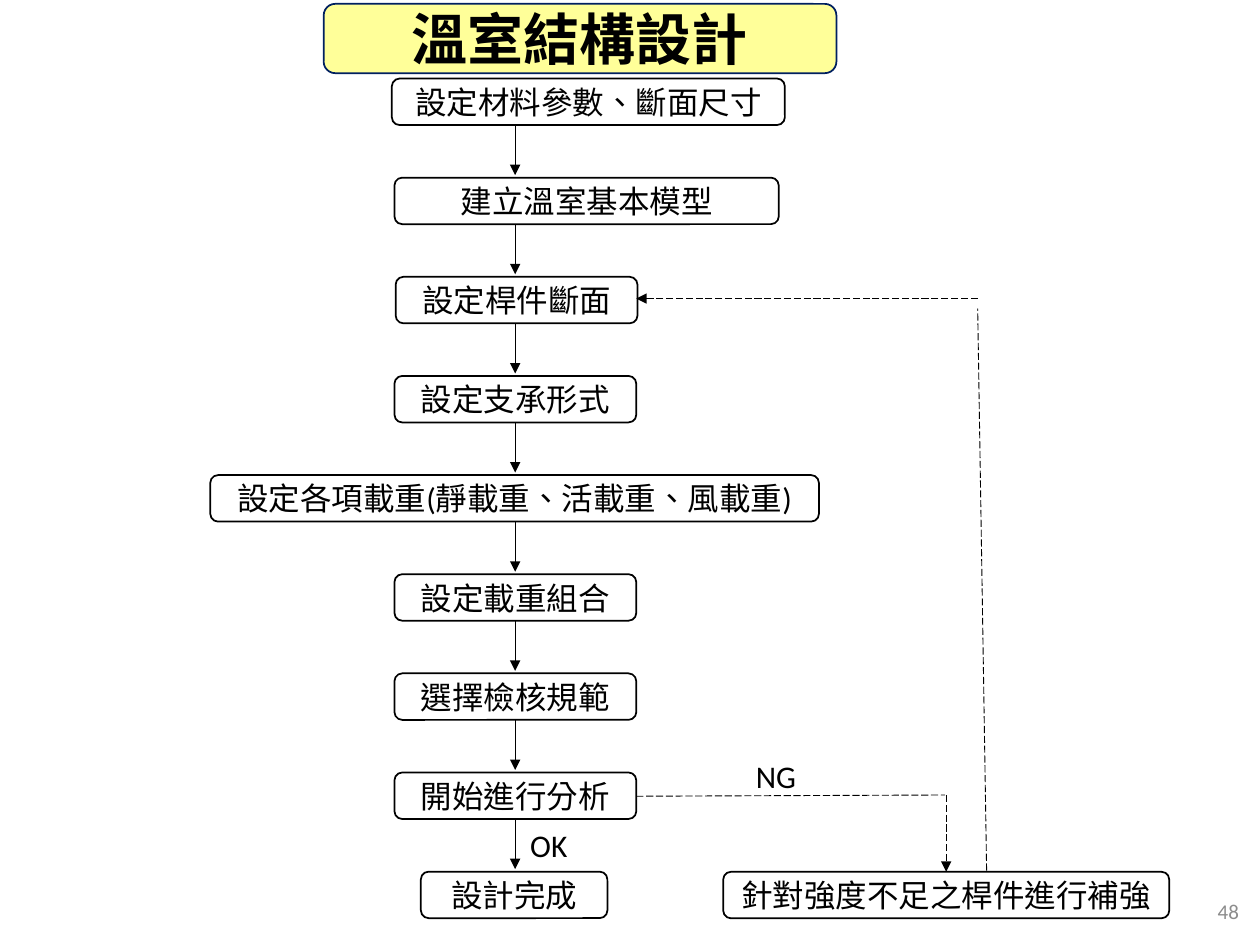
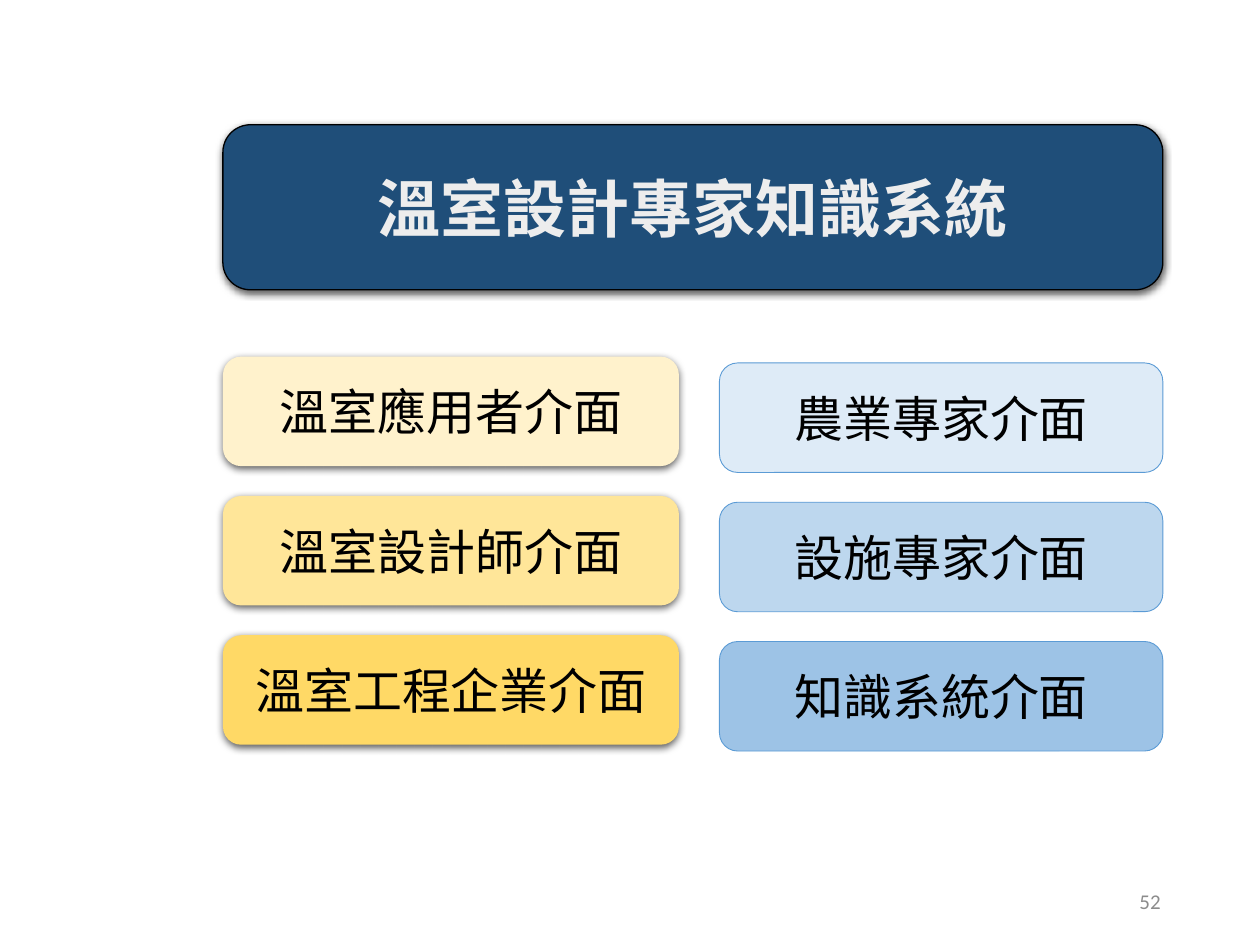
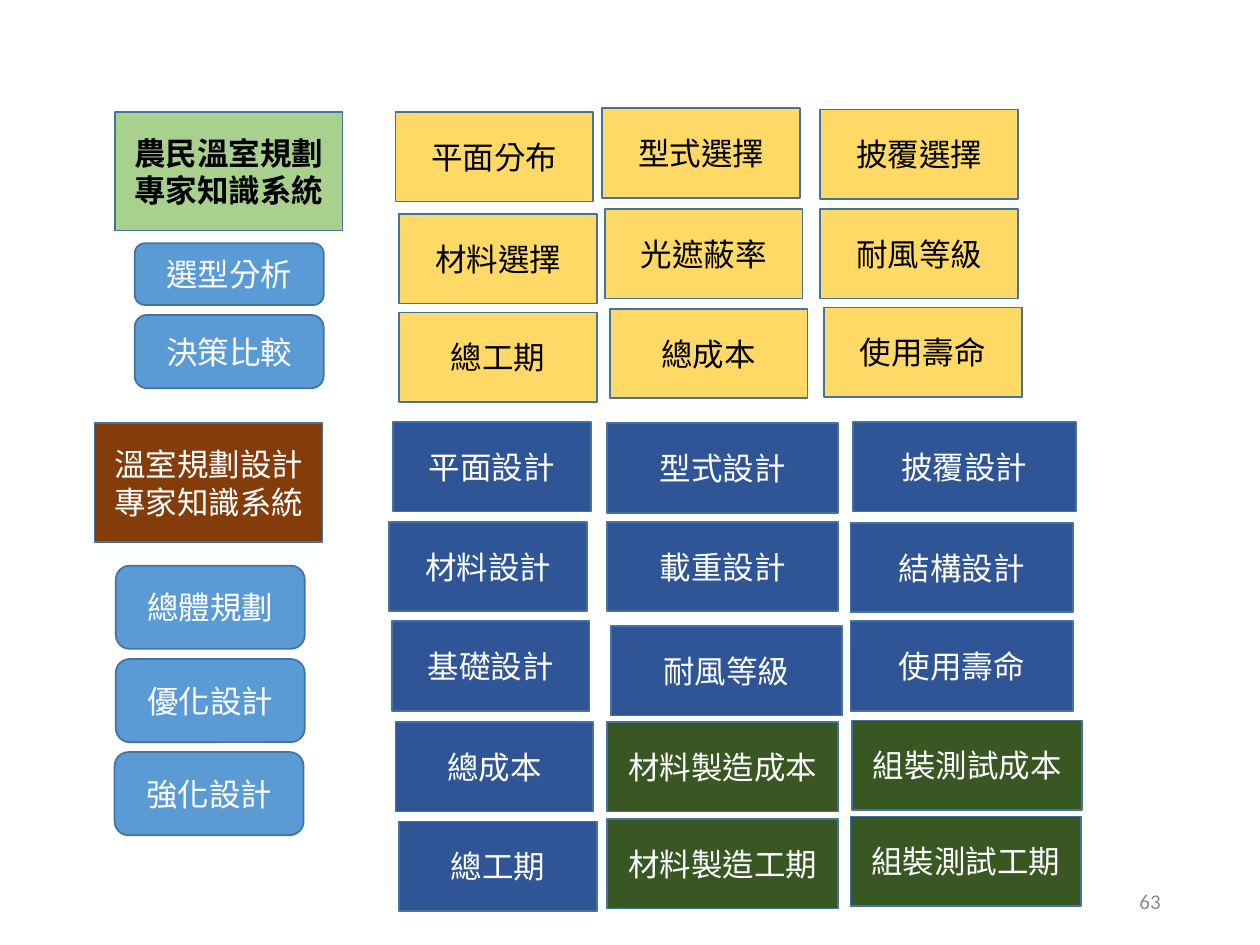
from dataclasses import dataclass, replace
from typing import NamedTuple, Optional

from lxml.etree import SubElement
from pptx import Presentation
from pptx.dml.color import RGBColor
from pptx.enum.dml import MSO_LINE
from pptx.enum.lang import MSO_LANGUAGE_ID
from pptx.enum.shapes import MSO_CONNECTOR, MSO_SHAPE
from pptx.enum.text import MSO_ANCHOR, MSO_AUTO_SIZE, PP_ALIGN
from pptx.oxml.ns import qn
from pptx.shapes.autoshape import Shape
from pptx.slide import Slide
from pptx.text.text import TextFrame
from pptx.util import Pt

COLORS = {
    "black": "000000",
    "white": "FFFFFF",
    "page number": "8C8C8C",
    "title yellow": "FFFF99",
    "title border": "002060",
    "navy": "1F4E79",
    "silver": "EDEDED",
    "text outline": "8497B0",
    "pale gold": "FFF2CC",
    "light gold": "FFE699",
    "gold": "FFD966",
    "pale blue": "DEEBF7",
    "light blue": "BDD7EE",
    "soft blue": "9DC3E6",
    "blue": "5B9BD5",
    "steel": "43739E",
    "royal blue": "2F5597",
    "light green": "A9D18E",
    "dark green": "385723",
    "brown": "843C0B",
}
BODY_FONT = "Calibri"
TITLE_FONT = "Noto Sans CJK SC"


@dataclass(frozen=True)
class BoxStyle:
    fill: Optional[str] = None
    line: Optional[str] = "black"
    line_width: float = 1
    text_color: str = "black"
    size: float = 18
    font: str = BODY_FONT
    bold: bool = False
    rounded: bool = True
    shadow: bool = False
    outlined_text: bool = False


class Box(NamedTuple):
    text: str
    left: float
    top: float
    width: float
    height: float


class Arrow(NamedTuple):
    start: tuple[float, float]
    end: tuple[float, float]
    dashed: bool = False
    head: bool = True


class TileGroup(NamedTuple):
    """Equal tiles of one style, each given as text, left, top."""
    style: BoxStyle
    width: float
    height: float
    tiles: list[tuple[str, float, float]]


def rgb(name: str) -> RGBColor:
    return RGBColor.from_string(COLORS[name])


def format_text(text_frame: TextFrame, style: BoxStyle, alignment: PP_ALIGN) -> None:
    for paragraph in text_frame.paragraphs:
        paragraph.alignment = alignment
        for run in paragraph.runs:
            run.font.name = style.font
            run.font.size = Pt(style.size)
            run.font.bold = style.bold
            run.font.color.rgb = rgb(style.text_color)
            run.font.language_id = MSO_LANGUAGE_ID.TRADITIONAL_CHINESE


def add_text_outline(shape: Shape) -> None:
    for paragraph in shape.text_frame.paragraphs:
        for run in paragraph.runs:
            properties = run.font._element
            outline = SubElement(properties, qn("a:ln"), w=str(Pt(1.75)))
            fill = SubElement(outline, qn("a:solidFill"))
            SubElement(fill, qn("a:srgbClr"), val=COLORS["text outline"])
            properties.insert(0, outline)


def add_soft_shadow(shape: Shape) -> None:
    effects = shape._element.spPr.find(qn("a:effectLst"))
    shadow = SubElement(effects, qn("a:outerShdw"), blurRad=str(Pt(4.5)),
                        dist=str(Pt(1.5)), dir="5400000", algn="ctr", rotWithShape="0")
    color = SubElement(shadow, qn("a:srgbClr"), val=COLORS["black"])
    SubElement(color, qn("a:alpha"), val="63000")


def add_box(slide: Slide, box: Box, style: BoxStyle) -> None:
    preset = MSO_SHAPE.ROUNDED_RECTANGLE if style.rounded else MSO_SHAPE.RECTANGLE
    shape = slide.shapes.add_shape(preset, *(Pt(length) for length in box[1:]))
    shape.shadow.inherit = False
    if style.fill:
        shape.fill.solid()
        shape.fill.fore_color.rgb = rgb(style.fill)
    else:
        shape.fill.background()
    if style.line:
        shape.line.color.rgb = rgb(style.line)
        shape.line.width = Pt(style.line_width)
    else:
        shape.line.fill.background()
    shape.text_frame.text = box.text
    shape.text_frame.word_wrap = True
    shape.text_frame.vertical_anchor = MSO_ANCHOR.MIDDLE
    format_text(shape.text_frame, style, PP_ALIGN.CENTER)
    if style.shadow:
        add_soft_shadow(shape)
    if style.outlined_text:
        add_text_outline(shape)


def add_arrow(slide: Slide, arrow: Arrow) -> None:
    connector = slide.shapes.add_connector(
        MSO_CONNECTOR.STRAIGHT, *(Pt(value) for value in arrow.start + arrow.end))
    connector.line.color.rgb = rgb("black")
    connector.line.width = Pt(0.5)
    if arrow.dashed:
        connector.line.dash_style = MSO_LINE.LONG_DASH
    if arrow.head:
        SubElement(connector.line._get_or_add_ln(), qn("a:tailEnd"), type="triangle")
    SubElement(connector._element.spPr, qn("a:effectLst"))


def add_branch_label(slide: Slide, box: Box) -> None:
    label = slide.shapes.add_textbox(*(Pt(length) for length in box[1:]))
    label.text_frame.text = box.text
    label.text_frame.word_wrap = False
    label.text_frame.auto_size = MSO_AUTO_SIZE.SHAPE_TO_FIT_TEXT
    format_text(label.text_frame, BoxStyle(), PP_ALIGN.LEFT)


def add_page_number(slide: Slide, number: int, left: float = 508.3, top: float = 500.4) -> None:
    text_box = slide.shapes.add_textbox(Pt(left), Pt(top), Pt(162), Pt(28.8))
    text_box.text_frame.text = str(number)
    text_box.text_frame.word_wrap = True
    text_box.text_frame.vertical_anchor = MSO_ANCHOR.MIDDLE
    format_text(text_box.text_frame, BoxStyle(text_color="page number", size=12), PP_ALIGN.RIGHT)


STEP_TOP, STEP_PITCH, STEP_HEIGHT = 44.9, 56.65, 26.6
FLOW_X, FLOW_LENGTH = 294.4, 28.6
STEPS = [
    ("設定材料參數、斷面尺寸", 223.9, 224.6),
    ("建立溫室基本模型", 225.4, 219.6),
    ("設定桿件斷面", 226.1, 138.2),
    ("設定支承形式", 225.4, 138.2),
    ("設定各項載重(靜載重、活載重、風載重)", 120.2, 347.8),
    ("設定載重組合", 225.4, 138.2),
    ("選擇檢核規範", 225.4, 138.2),
    ("開始進行分析", 225.4, 138.2),
    ("設計完成", 240.5, 106.6),
]
FEEDBACK_ARROWS = [
    Arrow((363.6, 455), (540, 454.3), dashed=True, head=False),
    Arrow((540.7, 454.3), (540.7, 498.2), dashed=True),
    Arrow((563.8, 497.5), (558.7, 176.4), dashed=True, head=False),
    Arrow((558.7, 170.6), (363.6, 170.6), dashed=True),
]


def build_structure_flow(slide: Slide) -> None:
    add_page_number(slide, 48, left=553, top=506.2)
    for index, (text, left, width) in enumerate(STEPS):
        top = STEP_TOP + index * STEP_PITCH
        add_box(slide, Box(text, left, top, width, STEP_HEIGHT), BoxStyle())
        if index < len(STEPS) - 1:
            bottom = top + STEP_HEIGHT
            add_arrow(slide, Arrow((FLOW_X, bottom), (FLOW_X, bottom + FLOW_LENGTH)))
    add_box(slide, Box("針對強度不足之桿件進行補強", 413.3, 498.2, 254.9, STEP_HEIGHT), BoxStyle())
    for arrow in FEEDBACK_ARROWS:
        add_arrow(slide, arrow)
    add_branch_label(slide, Box("NG", 424.8, 429.1, 37.4, 28.8))
    add_branch_label(slide, Box("OK", 295.9, 468.7, 36, 28.8))
    add_box(slide, Box("溫室結構設計", 185, 2.2, 293, 39.6),
            BoxStyle("title yellow", "title border", size=32, font=TITLE_FONT, bold=True))


USER_STYLE = BoxStyle(line=None, size=28, shadow=True)
EXPERT_STYLE = BoxStyle(line="blue", line_width=0.5, size=28)
INTERFACE_PITCH, INTERFACE_HEIGHT = 79.6, 62.6
INTERFACE_COLUMNS = [
    (USER_STYLE, 127.4, 203.8, 260.6, [
        ("溫室應用者介面", "pale gold"),
        ("溫室設計師介面", "light gold"),
        ("溫室工程企業介面", "gold"),
    ]),
    (EXPERT_STYLE, 411.1, 207.4, 253.4, [
        ("農業專家介面", "pale blue"),
        ("設施專家介面", "light blue"),
        ("知識系統介面", "soft blue"),
    ]),
]


def build_interfaces(slide: Slide) -> None:
    add_page_number(slide, 52)
    for style, left, first_top, width, interfaces in INTERFACE_COLUMNS:
        for row, (text, fill) in enumerate(interfaces):
            top = first_top + row * INTERFACE_PITCH
            add_box(slide, Box(text, left, top, width, INTERFACE_HEIGHT),
                    replace(style, fill=fill))
    add_box(slide, Box("溫室設計專家知識系統", 127.4, 71.3, 537.1, 94.3),
            BoxStyle("navy", line_width=0.75, text_color="silver", size=36, bold=True,
                     shadow=True, outlined_text=True))


TILE = BoxStyle(line="steel", rounded=False)
FARMER_SYSTEM = replace(TILE, fill="light green", bold=True)
DESIGN_SYSTEM = replace(TILE, fill="brown", text_color="white")
FARMER_TILE = replace(TILE, fill="gold")
DESIGN_TILE = replace(TILE, fill="royal blue", text_color="white")
COST_TILE = replace(TILE, fill="dark green", text_color="white")
FUNCTION = replace(TILE, fill="blue", text_color="white", rounded=True)
TILE_HEIGHT = 51.1
MODULE_GROUPS = [
    TileGroup(FARMER_SYSTEM, 130.3, 67.7, [("農民溫室規劃專家知識系統", 65.5, 64.1)]),
    TileGroup(DESIGN_SYSTEM, 130.3, 67.7, [("溫室規劃設計\n專家知識系統", 54, 241.9)]),
    TileGroup(FARMER_TILE, 113, TILE_HEIGHT, [
        ("平面分布", 226.1, 64.1), ("型式選擇", 344.2, 61.9), ("披覆選擇", 468.7, 62.6),
        ("材料選擇", 228.2, 122.4), ("光遮蔽率", 345.6, 119.5), ("耐風等級", 468.7, 119.5),
        ("總工期", 228.2, 178.6), ("總成本", 348.5, 176.4), ("使用壽命", 470.9, 175.7),
    ]),
    TileGroup(DESIGN_TILE, 113, TILE_HEIGHT, [
        ("平面設計", 224.6, 241.2), ("材料設計", 222.5, 298.1), ("基礎設計", 223.9, 355),
        ("總成本", 226.1, 412.6), ("總工期", 228.2, 469.4),
    ]),
    TileGroup(DESIGN_TILE, 131.8, TILE_HEIGHT, [
        ("型式設計", 347, 241.9), ("載重設計", 347, 298.1), ("耐風等級", 349.2, 357.8),
    ]),
    TileGroup(DESIGN_TILE, 127.4, TILE_HEIGHT, [
        ("披覆設計", 487.4, 241.2), ("結構設計", 486, 298.8), ("使用壽命", 486, 355),
    ]),
    TileGroup(COST_TILE, 131.8, TILE_HEIGHT, [
        ("材料製造成本", 347, 412.6), ("組裝測試成本", 486.7, 411.8),
        ("材料製造工期", 347, 468), ("組裝測試工期", 486, 466.6),
    ]),
    TileGroup(FUNCTION, 108, 35.3, [("選型分析", 77, 139)]),
    TileGroup(FUNCTION, 108, 41.8, [("決策比較", 77, 180)]),
    TileGroup(FUNCTION, 108, 47.5, [
        ("總體規劃", 66.2, 323.3), ("優化設計", 66.2, 376.6), ("強化設計", 65.5, 429.8),
    ]),
]


def build_modules(slide: Slide) -> None:
    add_page_number(slide, 63)
    for group in MODULE_GROUPS:
        for text, left, top in group.tiles:
            add_box(slide, Box(text, left, top, group.width, group.height), group.style)


def main() -> None:
    presentation = Presentation()
    presentation.slide_width = Pt(720)
    presentation.slide_height = Pt(540)
    blank_layout = presentation.slide_layouts[6]
    for build in (build_structure_flow, build_interfaces, build_modules):
        build(presentation.slides.add_slide(blank_layout))
    presentation.save("out.pptx")


if __name__ == "__main__":
    main()
